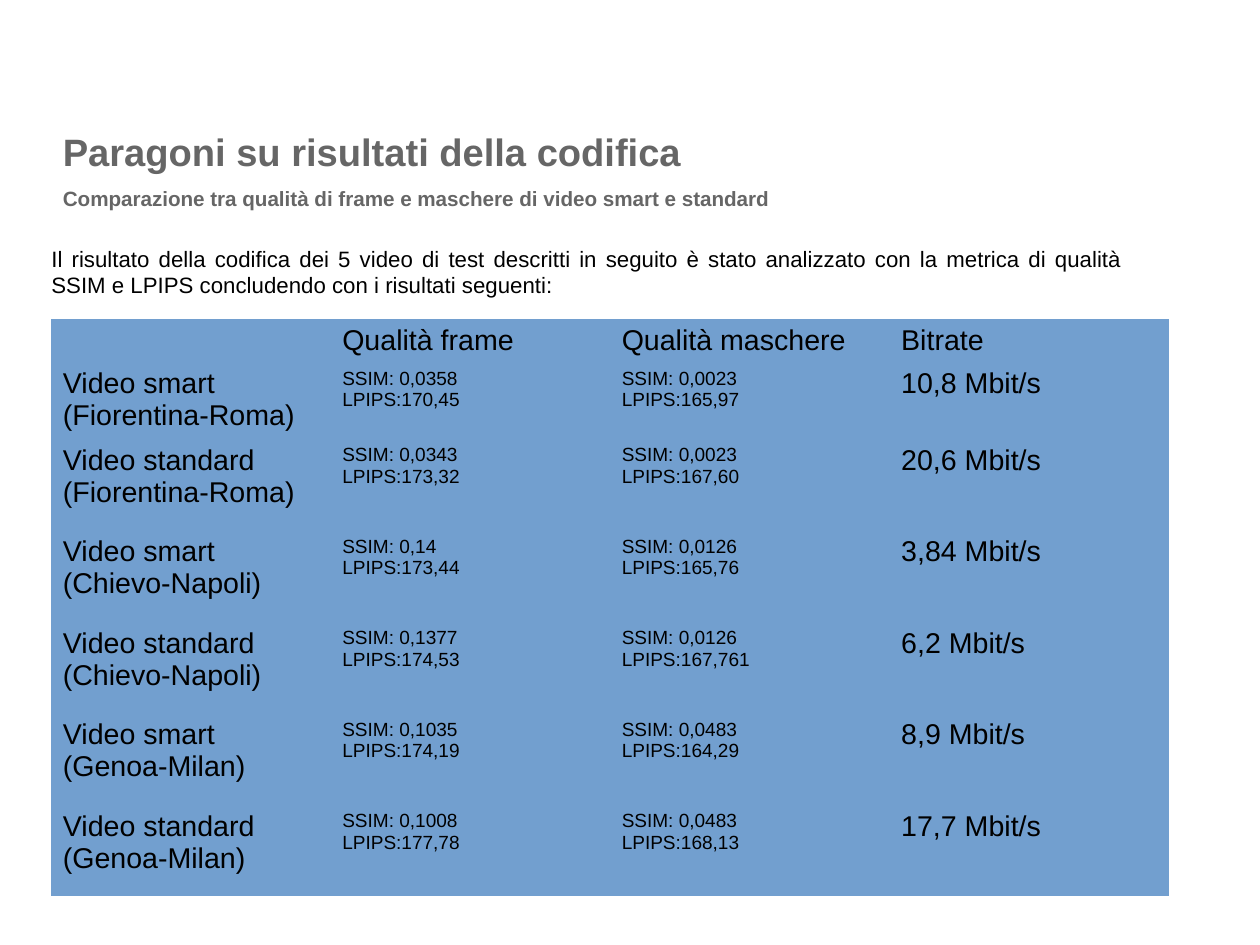
import dataclasses

import pptx
import pptx.dml.color
import pptx.enum.text
import pptx.oxml.ns
import pptx.util

ALIGN = pptx.enum.text.PP_ALIGN
ANCHOR = pptx.enum.text.MSO_ANCHOR

SLIDE_WIDTH = pptx.util.Cm(28)
SLIDE_HEIGHT = pptx.util.Cm(21)
PLAIN_TABLE_STYLE = "{2D5ABB26-0587-4C30-8999-92F81FD0307C}"


@dataclasses.dataclass(frozen=True)
class Theme:
    font: str = "Arial"
    heading: str = "666666"
    body: str = "000000"
    cell: str = "729FCF"
    title_size: int = 24
    subtitle_size: int = 13
    intro_size: int = 14
    label_size: int = 18
    metric_size: int = 12


THEME = Theme()

TITLE = "Paragoni su risultati della codifica"
SUBTITLE = "Comparazione tra qualità di frame e maschere di video smart e standard"
INTRO = (
    "Il risultato della codifica dei 5 video di test descritti in seguito "
    "è stato analizzato con la metrica di qualità SSIM e LPIPS "
    "concludendo con i risultati seguenti:"
)
HEADINGS = ("", "Qualità frame", "Qualità maschere", "Bitrate")
# Encoding, match, frame SSIM and LPIPS, mask SSIM and LPIPS, bitrate
RESULTS = (
    ("smart", "Fiorentina-Roma", "0,0358", "170,45", "0,0023", "165,97", "10,8"),
    ("standard", "Fiorentina-Roma", "0,0343", "173,32", "0,0023", "167,60", "20,6"),
    ("smart", "Chievo-Napoli", "0,14", "173,44", "0,0126", "165,76", "3,84"),
    ("standard", "Chievo-Napoli", "0,1377", "174,53", "0,0126", "167,761", "6,2"),
    ("smart", "Genoa-Milan", "0,1035", "174,19", "0,0483", "164,29", "8,9"),
    ("standard", "Genoa-Milan", "0,1008", "177,78", "0,0483", "168,13", "17,7"),
)
ROW_HEIGHTS = (0.38, 0.67) + (0.8,) * 5
CELL_BOTTOM_MARGIN = 0.01


def inches(*lengths):
    return [pptx.util.Inches(length) for length in lengths]


def style(paragraph, size, color=THEME.body, bold=False):
    font = paragraph.font
    font.name = THEME.font
    font.size = pptx.util.Pt(size)
    font.bold = bold
    font.color.rgb = pptx.dml.color.RGBColor.from_string(color)


def add_text(slide, area, lines, color, bold=False, anchor=ANCHOR.TOP,
             align=ALIGN.LEFT, spacing=1.0):
    """Add a text box without insets; lines are pairs of text and size."""
    frame = slide.shapes.add_textbox(*inches(*area)).text_frame
    frame.word_wrap = True
    frame.vertical_anchor = anchor
    frame.margin_left = frame.margin_right = 0
    frame.margin_top = frame.margin_bottom = 0
    frame.text = "\n".join(text for text, _ in lines)
    for paragraph, (_, size) in zip(frame.paragraphs, lines):
        paragraph.alignment = align
        paragraph.line_spacing = spacing
        style(paragraph, size, color, bold)


def result_texts(encoding, match, frame_ssim, frame_lpips, mask_ssim,
                 mask_lpips, bitrate):
    return (
        f"Video {encoding}\n({match})",
        f"SSIM: {frame_ssim}\nLPIPS:{frame_lpips}",
        f"SSIM: {mask_ssim}\nLPIPS:{mask_lpips}",
        f"{bitrate} Mbit/s",
    )


def fill_cell(cell, text, size):
    cell.fill.solid()
    cell.fill.fore_color.rgb = pptx.dml.color.RGBColor.from_string(THEME.cell)
    cell.margin_bottom = pptx.util.Inches(CELL_BOTTOM_MARGIN)
    cell.text = text
    for paragraph in cell.text_frame.paragraphs:
        style(paragraph, size)


def add_results_table(slide, area):
    rows = [HEADINGS] + [result_texts(*result) for result in RESULTS]
    holder = slide.shapes.add_table(len(rows), len(HEADINGS), *inches(*area))
    style_tag = pptx.oxml.ns.qn("a:tableStyleId")
    for style_id in holder.element.iter(style_tag):
        style_id.text = PLAIN_TABLE_STYLE
    table = holder.table
    table.first_row = table.horz_banding = False
    for row, height in zip(table.rows, ROW_HEIGHTS):
        row.height = pptx.util.Inches(height)
    for row, texts in zip(table.rows, rows):
        for cell, text in zip(row.cells, texts):
            is_metric = text.startswith("SSIM")
            size = THEME.metric_size if is_metric else THEME.label_size
            fill_cell(cell, text, size)


def main():
    deck = pptx.Presentation()
    deck.slide_width, deck.slide_height = SLIDE_WIDTH, SLIDE_HEIGHT
    slide = deck.slides.add_slide(deck.slide_layouts[6])
    add_text(slide, (0.45, 1.83, 9.37, 1.09), [(INTRO, THEME.intro_size)],
             THEME.body, anchor=ANCHOR.MIDDLE, align=ALIGN.JUSTIFY)
    add_text(slide, (0.55, 0.92, 6.43, 1.05),
             [(TITLE, THEME.title_size), (SUBTITLE, THEME.subtitle_size)],
             THEME.heading, bold=True, spacing=1.5)
    add_results_table(slide, (0.45, 2.79, 9.78, sum(ROW_HEIGHTS)))
    deck.save("out.pptx")


if __name__ == "__main__":
    main()
